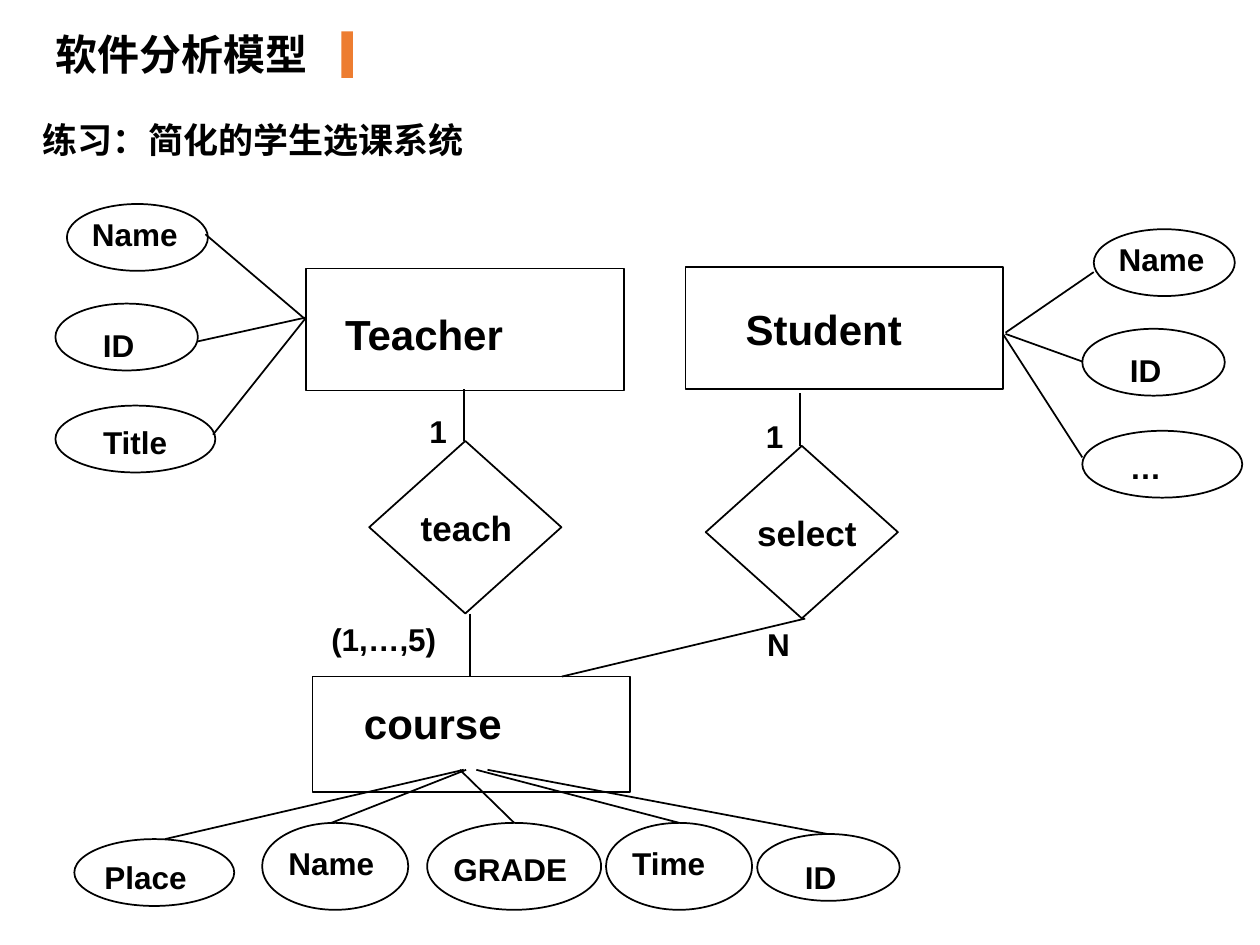
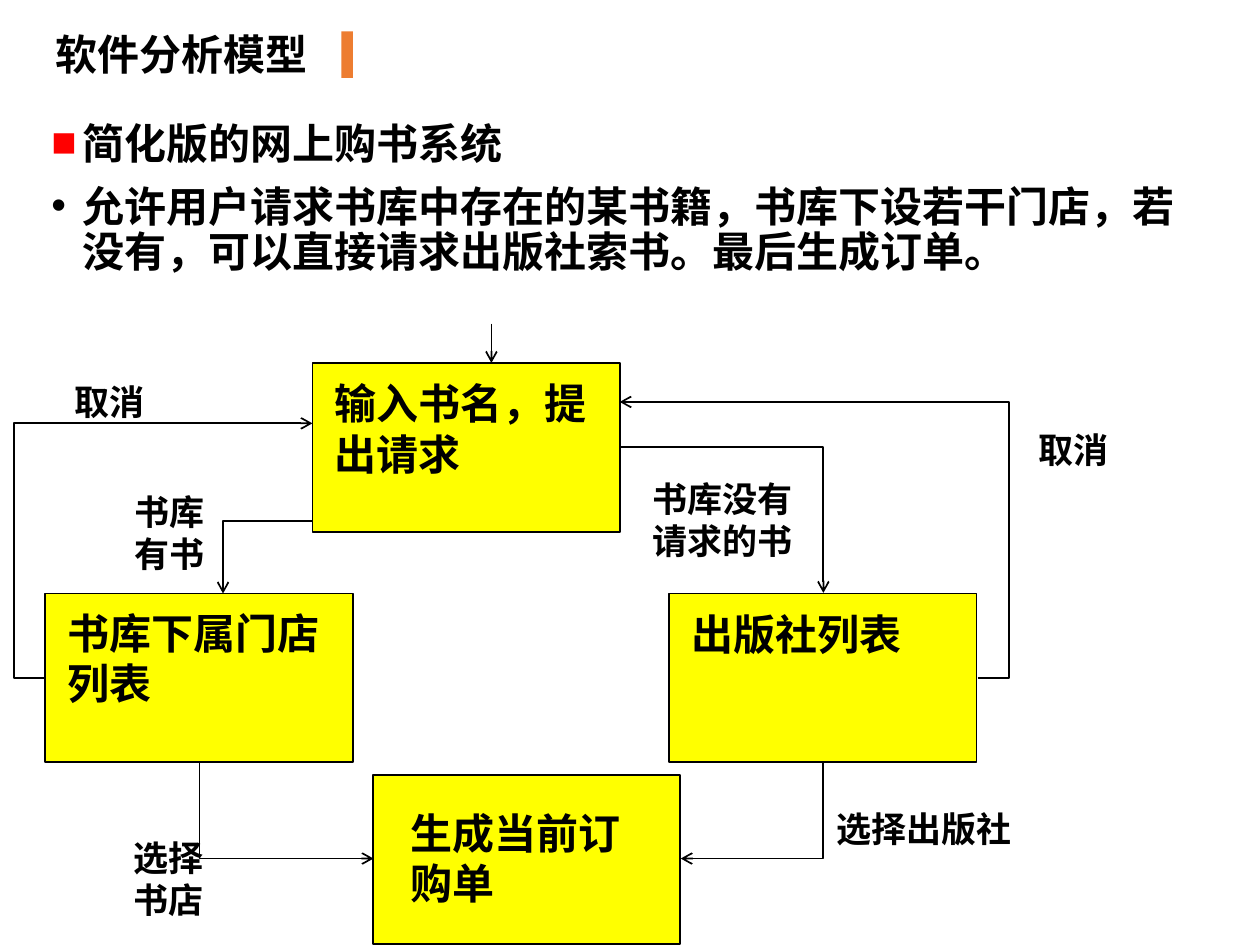
from lxml.etree import SubElement
from pptx import Presentation
from pptx.dml.color import RGBColor
from pptx.enum.shapes import MSO_CONNECTOR as LINK, MSO_SHAPE as KIND
from pptx.enum.text import MSO_ANCHOR as ANCHOR
from pptx.oxml.ns import qn
from pptx.util import Pt

BLACK = RGBColor(0x00, 0x00, 0x00)
ORANGE = RGBColor(0xED, 0x7D, 0x31)
YELLOW = RGBColor(0xFF, 0xFF, 0x00)
HAN = "Noto Sans CJK SC"


def style(para, size, font="Arial", lead=None):
    """Make the paragraph bold black, with a fixed line height if given."""
    if lead:
        para.line_spacing = Pt(lead)
    for run in para.runs:
        run.font.size, run.font.bold, run.font.name = Pt(size), True, font
        run.font.color.rgb = BLACK
        SubElement(run._r.get_or_add_rPr(), qn("a:ea"), typeface=HAN)


def finish(part, fill=None, line=BLACK):
    """Set the fill and line of a shape, or the line of a connector."""
    if hasattr(part, "fill"):
        part.shadow.inherit = False
        if fill is None:
            part.fill.background()
        else:
            part.fill.solid()
            part.fill.fore_color.rgb = fill
    else:
        SubElement(part._element.spPr, qn("a:effectLst"))
    if line is None:
        part.line.fill.background()
    else:
        part.line.color.rgb = line
        part.line.width = Pt(1)


deck = Presentation()
deck.slide_width, deck.slide_height = Pt(720), Pt(540)
model, store = [deck.slides.add_slide(deck.slide_layouts[6]) for _ in range(2)]

# Entity-relationship model: kind, left, top, width, height
shapes = [
    (KIND.RECTANGLE, 178.6, 386.6, 181.4, 66.2),
    (KIND.RECTANGLE, 175, 153.4, 181.4, 69.8),
    (KIND.RECTANGLE, 391.7, 152.6, 181.4, 69.8),
    (KIND.OVAL, 42.5, 479.5, 91.4, 38.2),
    (KIND.OVAL, 149.8, 470.2, 83.5, 49.7),
    (KIND.OVAL, 244.1, 470.2, 99.4, 49.7),
    (KIND.OVAL, 346.3, 470.2, 83.5, 49.7),
    (KIND.OVAL, 432.7, 476.6, 81.4, 38.2),
]
# Text, left, top, width, size, rows
labels = [
    ("course", 200.9, 395.3, 142.6, 24, 1),
    ("Teacher", 190.1, 172.8, 149, 24, 1),
    ("Student", 419, 169.9, 149, 24, 1),
    ("Place", 52.6, 486.7, 70.6, 18, 1),
    ("Name", 157.7, 478.8, 73.4, 18, 1),
    ("GRADE", 252, 482.4, 87.8, 18, 1),
    ("Time", 354.2, 478.8, 73.4, 18, 1),
    ("ID", 452.9, 486.7, 40.3, 18, 1),
    ("(1,…,5)", 182.2, 350.6, 79.9, 18, 1),
    ("N", 431.3, 353.5, 23.8, 18, 1),
]
# The student's attributes repeat the teacher's at an offset
for dx, dy, last in [(0, 0, "Title"), (586.8, 14.4, "…")]:
    shapes += [
        (KIND.OVAL, 38.2 + dx, 116.6 + dy, 80.6, 38.2),
        (KIND.OVAL, 31.7 + dx, 173.5 + dy, 81.4, 38.2),
        (KIND.OVAL, 31.7 + dx, 231.8 + dy, 91.4, 38.2),
    ]
    labels += [
        ("Name", 45.4 + dx, 119.5 + dy, 105, 18, 1),
        ("ID", 51.8 + dx, 182.9 + dy, 40.3, 18, 1),
        (last, 51.8 + dx, 238.3 + dy, 61.2, 18, 1),
    ]
for dx, dy, verb in [(0, 0, "teach"), (192.3, 2.8, "select")]:
    shapes.append((KIND.DIAMOND, 211 + dx, 252 + dy, 109.8, 98.6))
    labels += [
        (verb, 233.3 + dx, 285.8 + dy, 78.5, 20, 1),
        ("1", 238.3 + dx, 231.8 + dy, 23.8, 18, 1),
    ]

for kind, *box in shapes:
    finish(model.shapes.add_shape(kind, *map(Pt, box)))

ties = [
    (268.6, 350.6, 268.6, 386.6),
    (265, 252, 265, 222.5),
    (457.2, 254.9, 457.2, 224.6),
    (460.1, 353.5, 321.1, 386.6),
    (175, 182.9, 117.4, 133.9),
    (175, 181.4, 113, 195.1),
    (175, 181.4, 121.7, 248.4),
    (625, 155.5, 574.6, 190.1),
    (618.5, 206.6, 574.6, 190.8),
    (618.5, 261.4, 573.1, 190.8),
    (94.3, 479.5, 265, 439.9),
    (189.4, 470.2, 266.4, 439.9),
    (293.8, 470.2, 262.8, 439.9),
    (388.1, 470.2, 272.2, 439.9),
    (473, 476.6, 278.6, 439.9),
]
for ends in ties:
    finish(model.shapes.add_connector(LINK.STRAIGHT, *map(Pt, ends)))

band = model.shapes.add_shape(KIND.RECTANGLE, Pt(13), Pt(58.3), Pt(697.7), Pt(43.2))
finish(band, line=None)
frame = band.text_frame
frame.word_wrap, frame.vertical_anchor = True, ANCHOR.MIDDLE
frame.margin_left = Pt(11.5)
frame.text = "练习：简化的学生选课系统"
frame.paragraphs[0].alignment = 1
style(frame.paragraphs[0], 20, HAN, 24)

# Book shop: bulleted brief
frame = store.shapes.add_textbox(Pt(22.3), Pt(66.2), Pt(662.4), Pt(100)).text_frame
frame.word_wrap = True
frame.text = ("简化版的网上购书系统\n"
              "允许用户请求书库中存在的某书籍，书库下设若干门店，若没有，可以直接请求出版社索书。最后生成订单。")
for para, mark in zip(frame.paragraphs, "■•"):
    props = para._p.get_or_add_pPr()
    props.set("marL", str(Pt(18)))
    props.set("indent", str(-Pt(18)))
    if mark == "■":
        tint = SubElement(props, qn("a:buClr"))
        SubElement(tint, qn("a:srgbClr"), val="FF0000")
    SubElement(props, qn("a:buFont"), typeface="Arial")
    SubElement(props, qn("a:buChar"), char=mark)
    style(para, 24, "Cabin", 26)
frame.paragraphs[1].space_before = Pt(10)

for left, top in [(178.6, 207.4), (25.9, 339.1), (382.3, 339.1), (213.1, 442.8)]:
    step = store.shapes.add_shape(KIND.RECTANGLE, Pt(left), Pt(top), Pt(175.7), Pt(96.5))
    finish(step, YELLOW)

notes = [
    ("输入书名，提出请求", 184.3, 212.4, 164.2, 24, 2),
    ("书库下属门店列表", 31.7, 343.4, 164.2, 24, 2),
    ("出版社列表", 388.1, 344.2, 164.2, 24, 1),
    ("生成当前订购单", 227.5, 457.9, 146.9, 24, 2),
    ("书库有书", 69.8, 276.5, 73.4, 20, 2),
    ("书库没有请求的书", 365.8, 269.3, 97.2, 20, 2),
    ("选择出版社", 470.9, 457.9, 115.9, 20, 1),
    ("选择书店", 69.1, 474.5, 65.5, 20, 2),
    ("取消", 35.3, 213.8, 78.5, 20, 1),
    ("取消", 586.1, 241.2, 78.5, 20, 1),
]

# Left, top, width, height, turn, flips, preset, bend
flows = [
    (111.6, 272.2, 82.8, 51.1, 90, "", "bentConnector3", 50000),
    (354.2, 255.6, 116.3, 83.2, 0, "", "bentConnector3", 100000),
    (136.1, 413.3, 55.2, 99.4, 270, "H", "bentConnector2", None),
    (402.1, 422.3, 55.2, 81.4, 90, "", "bentConnector2", None),
    (25.9, 241.9, 152.6, 145.4, 180, "H", "bentConnector3", -11800),
    (354.2, 229.7, 204.5, 157.7, 0, "HV", "bentConnector3", -8800),
    (280.8, 185, 0, 22.4, 0, "", "line", None),
]
for left, top, wide, high, turn, flips, preset, bend in flows:
    flow = store.shapes.add_connector(
        LINK.ELBOW, Pt(left), Pt(top), Pt(left + wide), Pt(top + high))
    finish(flow)
    props = flow._element.spPr
    place = props.find(qn("a:xfrm"))
    place.set("rot", str(turn * 60000))
    for axis in flips:
        place.set("flip" + axis, "1")
    geom = props.find(qn("a:prstGeom"))
    geom.set("prst", preset)
    if bend is not None:
        SubElement(geom.find(qn("a:avLst")), qn("a:gd"), name="adj1", fmla=f"val {bend}")
    SubElement(props.find(qn("a:ln")), qn("a:tailEnd"), type="arrow")

# Labels, title and title mark
title = ("软件分析模型", 24.5, 13, 173.5, 24, 1)
for slide, texts in [(model, labels), (store, notes)]:
    for text, left, top, wide, size, rows in texts + [title]:
        high = rows * size * 1.2 + 7.2
        frame = slide.shapes.add_textbox(Pt(left), Pt(top), Pt(wide), Pt(high)).text_frame
        frame.word_wrap = True
        frame.text = text
        han = text[0] >= "一"
        style(frame.paragraphs[0], size, HAN if text == title[0] else "Arial",
              size * 1.2 if han else None)
    mark = slide.shapes.add_shape(KIND.RECTANGLE, Pt(195.1), Pt(18), Pt(6.5), Pt(26.6))
    finish(mark, ORANGE, None)

deck.save("out.pptx")
